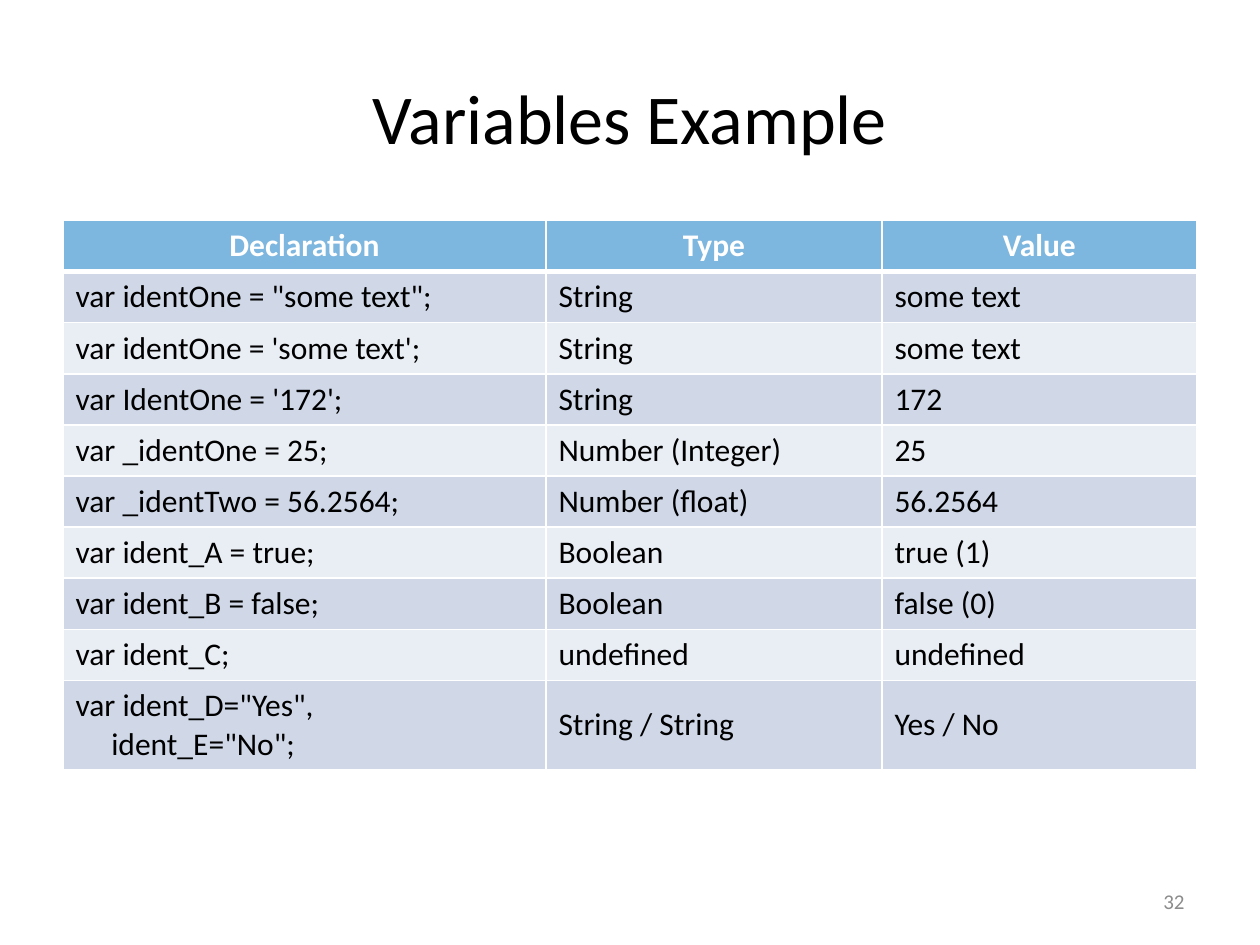
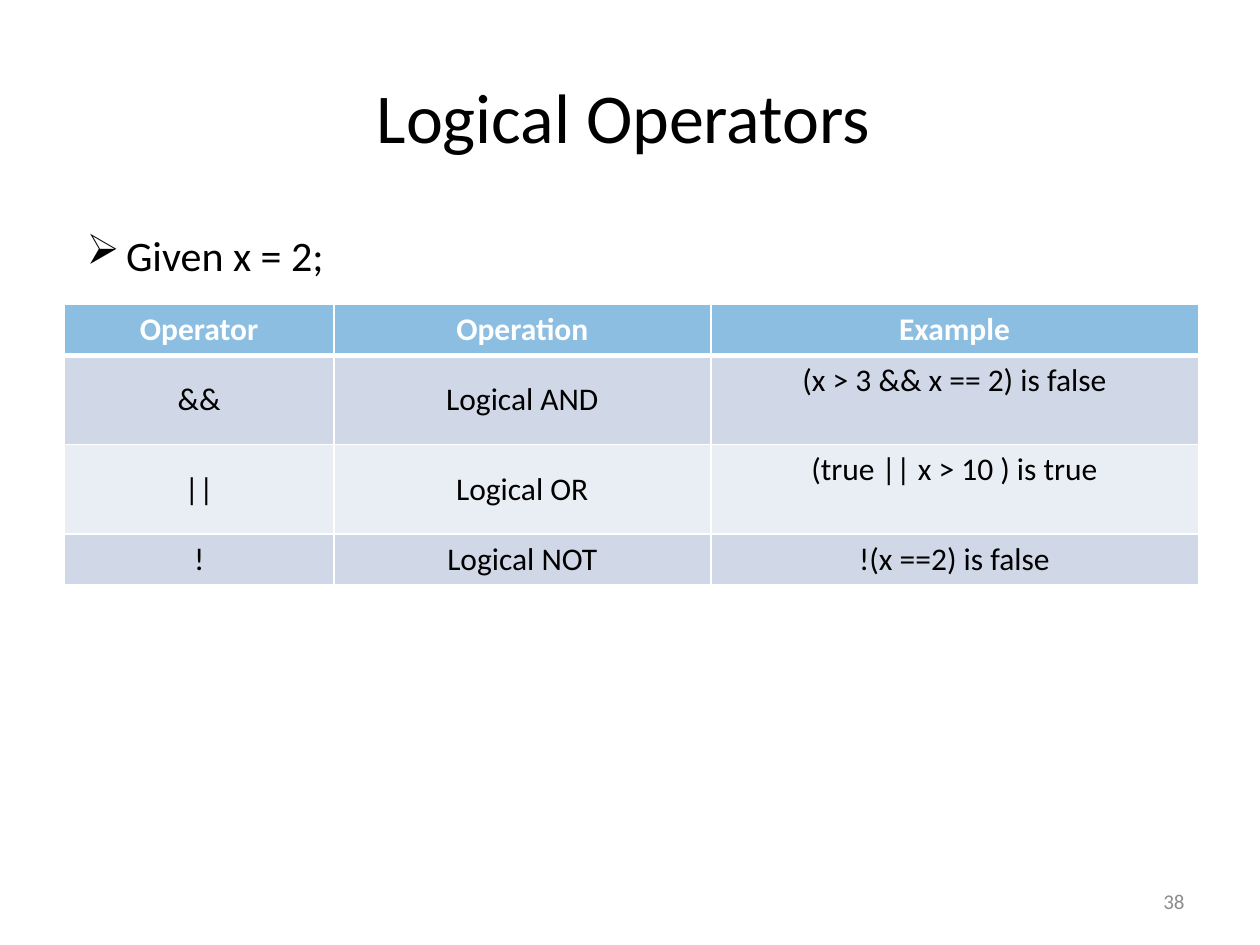
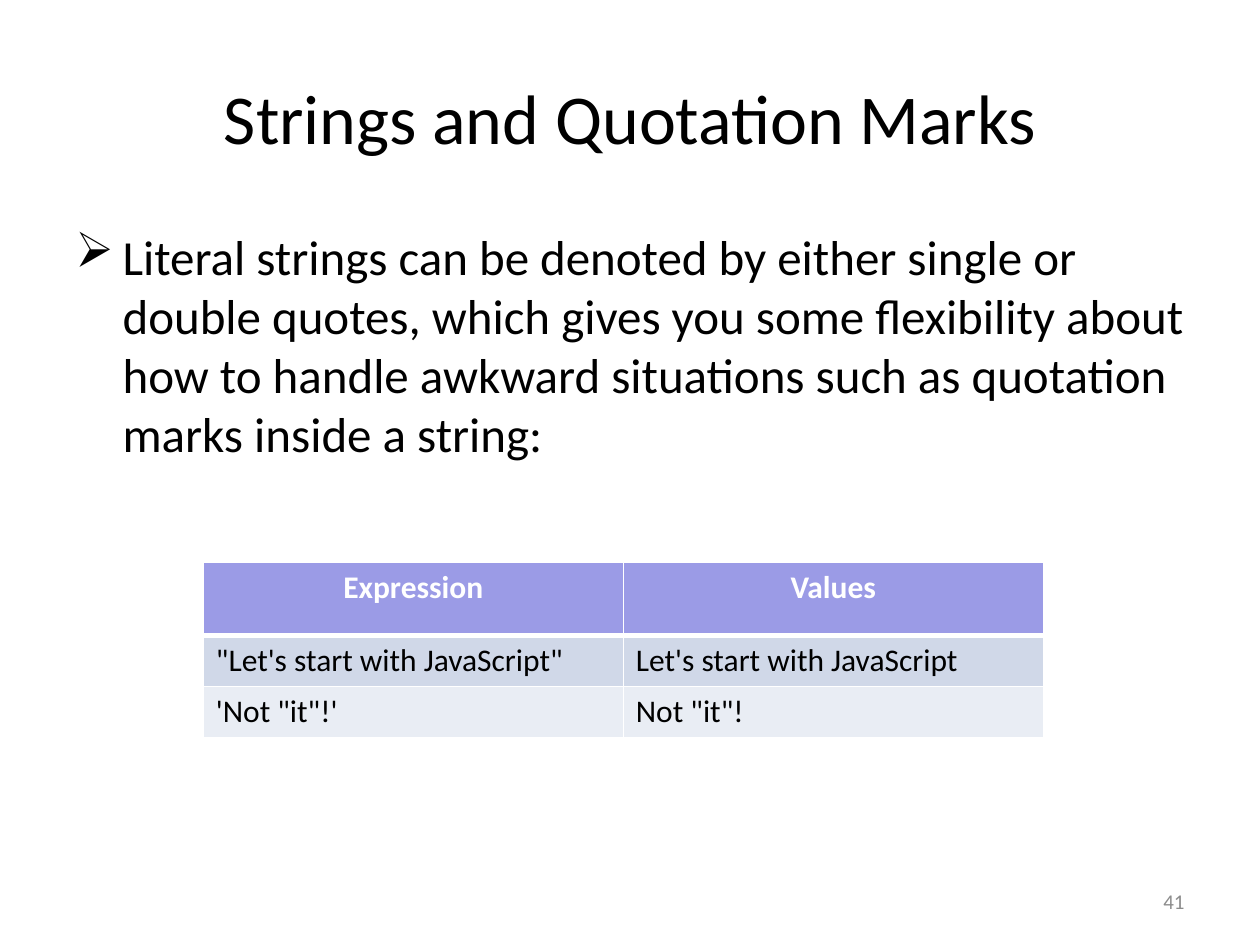
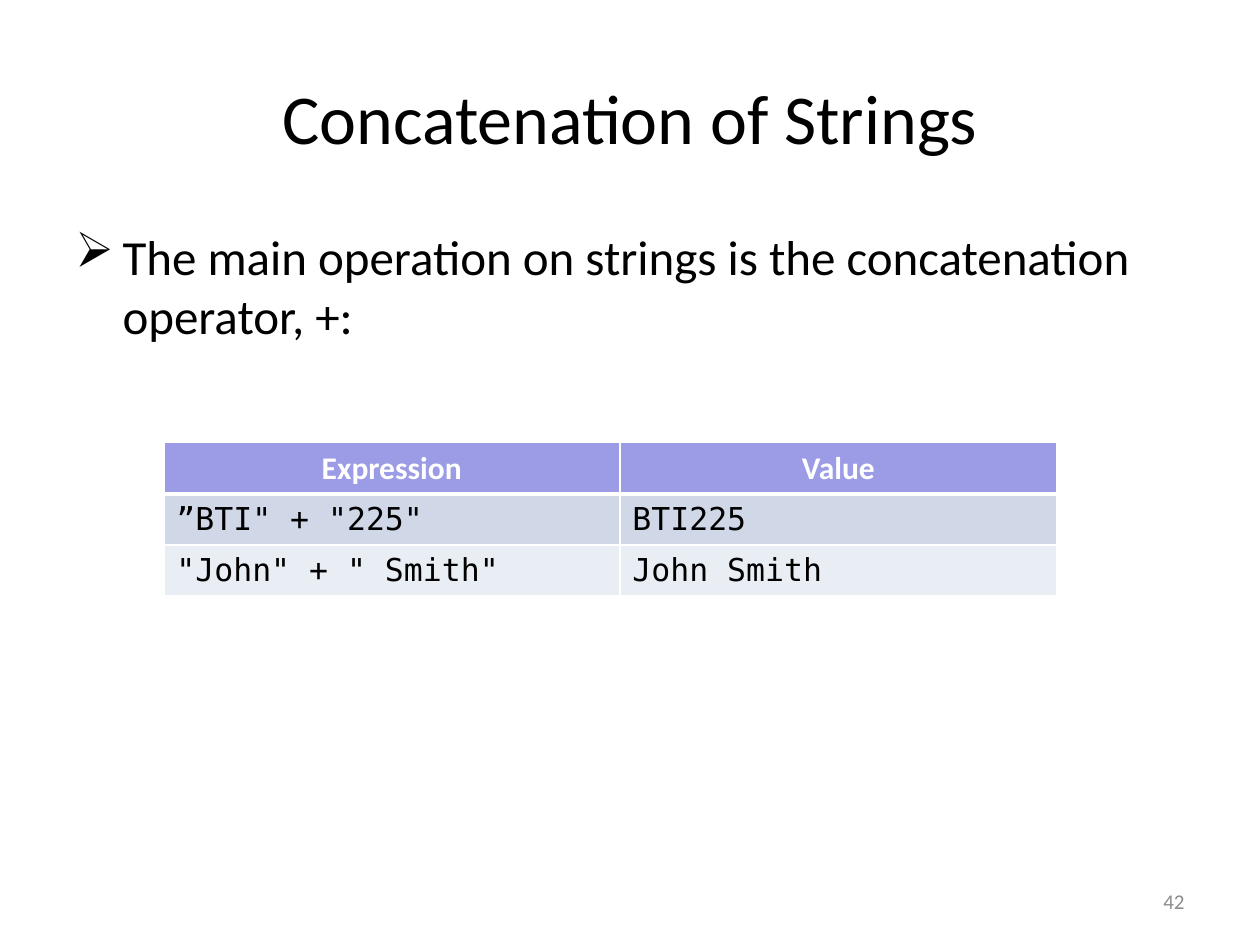
from pptx import Presentation
from pptx.dml.color import RGBColor
from pptx.enum.text import MSO_ANCHOR as Anchor, PP_ALIGN as Align
from pptx.oxml.ns import qn
from pptx.util import Pt
from lxml.etree import SubElement

SANS, MONO = "Calibri", "DejaVu Sans Mono"
BLACK, WHITE, GREY = "000000", "FFFFFF", "8C8C8C"
BLUE, VIOLET = "0070C0", "3333CC"
BANDS = ("D0D8E8", "E9EDF4")
ROW, TALL_ROW, HEADER_ROW = 29.2, 51.1, 41.6
TITLE_BOX = (36, 21.6, 648, 90)
BODY_BOX = (36, 126, 648, 356.4)
NUMBER_BOX = (516.24, 500.4, 167.76, 28.8)

# A table cell is a string; a line that starts with a tab is indented.
# "top" lists the (row, column) cells whose text sits at the top.
SLIDES = [
    dict(
        title="Variables Example", number=32,
        table=dict(
            at=(36, 126), columns=(276, 192, 180), header=(BLUE, 51),
            heights=[ROW] * 9 + [TALL_ROW],
            rows=[
                ("Declaration", "Type", "Value"),
                ('var identOne = "some text";', "String", "some text"),
                ("var identOne = 'some text';", "String", "some text"),
                ("var IdentOne = '172';", "String", "172"),
                ("var _identOne = 25;", "Number (Integer)", "25"),
                ("var _identTwo = 56.2564;", "Number (float)", "56.2564"),
                ("var ident_A = true;", "Boolean", "true (1)"),
                ("var ident_B = false;", "Boolean", "false (0)"),
                ("var ident_C;", "undefined", "undefined"),
                ('var ident_D="Yes",\n\tident_E="No";',
                 "String / String", "Yes / No"),
            ])),
    dict(
        title="Logical Operators", number=38, title_box=(20, 20.8, 672.4, 90),
        body="Given x = 2;",
        body_format=dict(box=(42.4, 127.4, 171.4, 36), size=24, hang=22.5),
        table=dict(
            at=(36.8, 173.8), columns=(154, 215.4, 278.6), header=(BLUE, 45),
            heights=[ROW, TALL_ROW, TALL_ROW, ROW], align=Align.CENTER,
            top=[(1, 2), (2, 2)],
            rows=[
                ("Operator", "Operation", "Example"),
                ("&&", "Logical AND", "(x > 3 && x == 2) is false"),
                ("||", "Logical OR", "(true || x > 10 ) is true"),
                ("!", "Logical NOT", "!(x ==2) is false"),
            ])),
    dict(
        title="Strings and Quotation Marks", number=41,
        body="Literal strings can be denoted by either single or double "
             "quotes, which gives you some flexibility about how to handle "
             "awkward situations such as quotation marks inside a string:",
        table=dict(
            at=(116.2, 321.4), columns=(240, 240), header=(VIOLET, 49),
            heights=[HEADER_ROW, ROW, ROW], top=[(0, 0), (0, 1)],
            rows=[
                ("Expression", "Values"),
                ('"Let\'s start with JavaScript"',
                 "Let's start with JavaScript"),
                ("'Not \"it\"!'", 'Not "it"!'),
            ])),
    dict(
        title="Concatenation of Strings", number=42,
        body="The main operation on strings is the concatenation operator, +:",
        table=dict(
            at=(93.6, 253), columns=(260.6, 249.8), header=(VIOLET, 49),
            heights=[ROW] * 3, font=MONO,
            rows=[
                ("Expression", "Value"),
                ('”BTI" + "225"', "BTI225"),
                ('"John" + " Smith"', "John Smith"),
            ])),
]


def color(code):
    """Turn a hex string into a colour."""
    return RGBColor.from_string(code)


def write(frame, text, size=18, font=SANS, ink=BLACK, bold=False,
          align=Align.LEFT, before=0, hang=0):
    """Fill a text frame, one paragraph a line; hang adds an arrow bullet."""
    frame.word_wrap = True
    for index, line in enumerate(text.split("\n")):
        paragraph = frame.add_paragraph() if index else frame.paragraphs[0]
        paragraph.alignment = align
        paragraph.space_before = Pt(before)
        run = paragraph.add_run()
        run.text = line.lstrip("\t")
        run.font.size, run.font.name, run.font.bold = Pt(size), font, bold
        run.font.color.rgb = color(ink)
        properties = paragraph._p.get_or_add_pPr()
        if line.startswith("\t"):
            properties.set("marL", str(Pt(20.4)))
        if hang:
            properties.set("marL", str(Pt(hang)))
            properties.set("indent", str(-Pt(hang)))
            SubElement(properties, qn("a:buChar"), char="➢")


def add_text(slide, box, text, anchor=Anchor.TOP, **style):
    """Add a text box at left, top, width, height."""
    frame = slide.shapes.add_textbox(*map(Pt, box)).text_frame
    frame.vertical_anchor = anchor
    write(frame, text, **style)


def add_borders(cell, top, bottom):
    """Draw white cell borders; the sides are one point wide."""
    properties = cell._tc.get_or_add_tcPr()
    for side, width in (("L", 1), ("R", 1), ("T", top), ("B", bottom)):
        line = SubElement(properties, qn("a:ln" + side), w=str(Pt(width)))
        SubElement(SubElement(line, qn("a:solidFill")),
                   qn("a:srgbClr"), val=WHITE)


def fill_cell(cell, code, opacity=100):
    """Fill a cell, with the opacity in percent."""
    cell.fill.solid()
    cell.fill.fore_color.rgb = color(code)
    if opacity < 100:
        tint = cell._tc.tcPr.find(qn("a:solidFill")).find(qn("a:srgbClr"))
        SubElement(tint, qn("a:alpha"), val=str(opacity * 1000))


def add_grid(slide, at, columns, heights, header, rows,
             align=Align.LEFT, font=SANS, top=()):
    """Add a banded table with a translucent header row."""
    size = (sum(columns), sum(heights))
    table = slide.shapes.add_table(len(rows), len(columns),
                                   *map(Pt, at + size)).table
    table.first_row = table.horz_banding = False
    for column, width in zip(table.columns, columns):
        column.width = Pt(width)
    for r, (texts, height) in enumerate(zip(rows, heights)):
        table.rows[r].height = Pt(height)
        for c, text in enumerate(texts):
            cell = table.cell(r, c)
            cell.vertical_anchor = (Anchor.TOP if (r, c) in top
                                    else Anchor.MIDDLE)
            add_borders(cell, top=3 if r == 1 else 1, bottom=1 if r else 3)
            if r:
                fill_cell(cell, BANDS[(r - 1) % 2])
                write(cell.text_frame, text, align=align, font=font)
            else:
                fill_cell(cell, *header)
                write(cell.text_frame, text, align=Align.CENTER,
                      ink=WHITE, bold=True)


def add_slide(deck, title, number, table, title_box=TITLE_BOX,
              body=None, body_format=None):
    """Add one slide: title, optional bullet, table and slide number."""
    slide = deck.slides.add_slide(deck.slide_layouts[6])
    add_text(slide, title_box, title, anchor=Anchor.MIDDLE, size=40,
             align=Align.CENTER)
    if body:
        style = body_format or dict(box=BODY_BOX, size=28, hang=27, before=5.6)
        add_text(slide, text=body, **style)
    add_grid(slide, **table)
    add_text(slide, NUMBER_BOX, str(number), anchor=Anchor.MIDDLE, size=12,
             ink=GREY, align=Align.RIGHT)


deck = Presentation()
deck.slide_width, deck.slide_height = Pt(720), Pt(540)
for content in SLIDES:
    add_slide(deck, **content)
deck.save("out.pptx")
